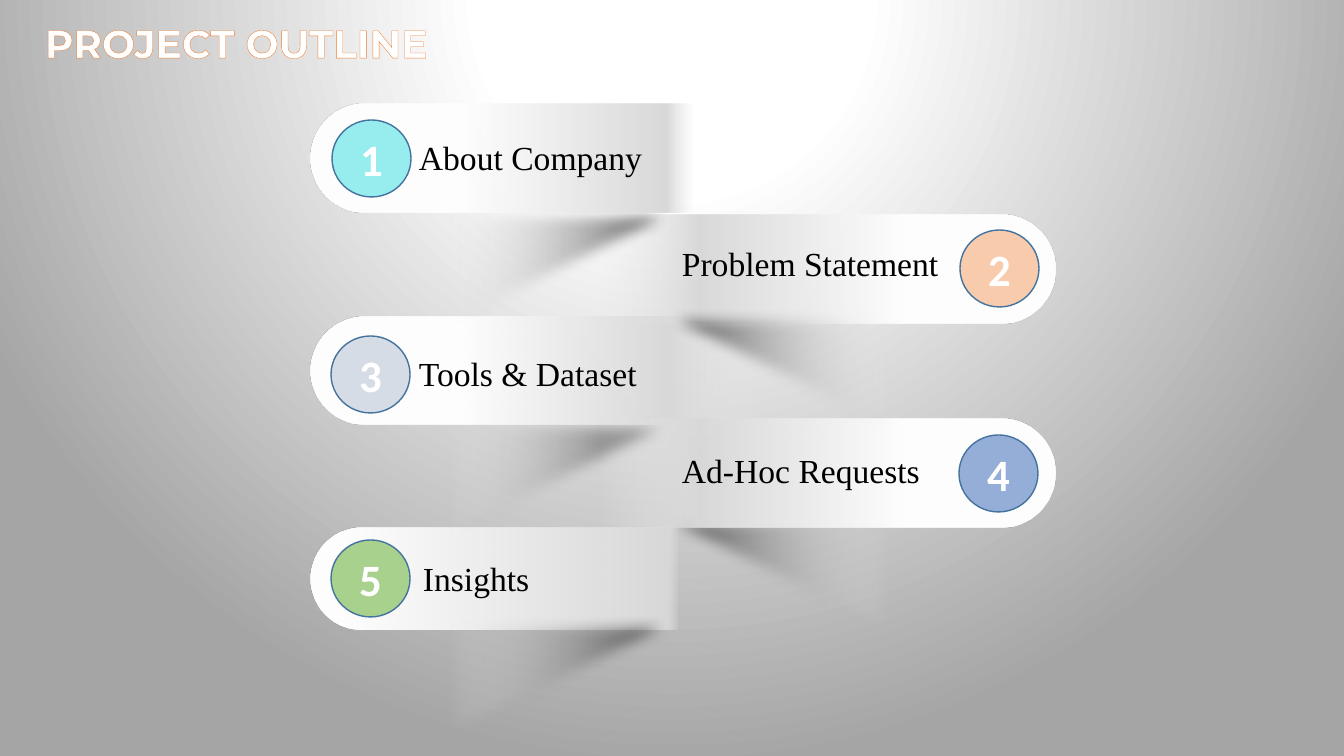
from lxml import etree
from pptx import Presentation
from pptx.dml.color import RGBColor
from pptx.enum.shapes import MSO_SHAPE
from pptx.enum.text import MSO_ANCHOR, MSO_AUTO_SIZE, PP_ALIGN
from pptx.oxml.ns import qn
from pptx.util import Pt

RIBBON, SHADOW, BADGE = MSO_SHAPE.ROUND_2_SAME_RECTANGLE, MSO_SHAPE.RIGHT_TRIANGLE, MSO_SHAPE.OVAL
LEFT, CENTER = PP_ALIGN.LEFT, PP_ALIGN.CENTER
MIDDLE, TOP = MSO_ANCHOR.MIDDLE, MSO_ANCHOR.TOP
FIT, FIXED = MSO_AUTO_SIZE.SHAPE_TO_FIT_TEXT, MSO_AUTO_SIZE.NONE

WHITE = RGBColor(0xFF, 0xFF, 0xFF)
BLACK = RGBColor(0, 0, 0)
GREY = RGBColor(0xA5, 0xA5, 0xA5)
SILVER = RGBColor(0xD9, 0xD9, 0xD9)
MIST = RGBColor(0xE7, 0xE7, 0xE7)
STEEL = RGBColor(0x43, 0x73, 0x9E)
ORANGE = RGBColor(0xED, 0x7D, 0x31)
AQUA = RGBColor(0x97, 0xED, 0xED)
PEACH = RGBColor(0xF8, 0xCB, 0xAD)
PALE = RGBColor(0xD6, 0xDC, 0xE5)
BLUE = RGBColor(0x95, 0xAE, 0xD7)
GREEN = RGBColor(0xA9, 0xD1, 0x8E)

TITLE = "PROJECT OUTLINE"
TOPICS = {
    1: dict(label="About Company", color=AQUA, ribbon=(311, 104, 455, 108), stops=(33, 78, 84),
            shadow_top=205, badge=(332, 120), text=(409, 132, 246)),
    2: dict(label="Problem Statement", color=PEACH, ribbon=(600, 215, 455, 108), stops=(33, 78, 100),
            shadow_top=308, badge=(960, 230), text=(672, 238, 287)),
    3: dict(label="Tools & Dataset", color=PALE, ribbon=(311, 317, 455, 108), stops=(33, 78, 100),
            shadow_top=415, badge=(331, 336), text=(409, 348, 240)),
    4: dict(label="Ad-Hoc Requests", color=BLUE, ribbon=(600, 419, 455, 108), stops=(33, 78, 100),
            shadow_top=511, badge=(959, 435), text=(672, 445, 261)),
    5: dict(label="Insights", color=GREEN, ribbon=(311, 528, 443, 102), stops=(7, 80, 83),
            shadow_top=615, badge=(331, 540), text=(413, 553, 128)),
}
BACK_TO_FRONT = [
    ("ribbon", 5), ("shadow", 3), ("ribbon", 3), ("shadow", 4), ("ribbon", 4),
    ("shadow", 5), ("ribbon", 2), ("shadow", 2), ("shadow", 1), ("ribbon", 1),
]
SHADOW_FADE = [(0, WHITE, 100), (0, WHITE, 0), (95, BLACK, 100)]
BACKDROP = [(0, WHITE, 100), (25, WHITE, 100), (100, GREY, 100)]
SHADOW_X = {"left": 439, "right": 609}
SHADOW_SIZE = (291, 141)
BADGE_SIZE = (79, 77)

SCALE = 914400 / 100.8


def px(*lengths):
    return [round(length * SCALE) for length in lengths]


def fill_gradient(parent, stops, angle=None):
    gradient = etree.Element(qn("a:gradFill"), rotWithShape="1")
    stop_list = etree.SubElement(gradient, qn("a:gsLst"))
    for position, color, opacity in stops:
        stop = etree.SubElement(stop_list, qn("a:gs"), pos=str(position * 1000))
        tint = etree.SubElement(stop, qn("a:srgbClr"), val=str(color))
        if opacity < 100:
            etree.SubElement(tint, qn("a:alpha"), val=str(opacity * 1000))
    if angle is None:
        circle = etree.SubElement(gradient, qn("a:path"), path="circle")
        etree.SubElement(circle, qn("a:fillToRect"), l="50000", t="-80000", r="50000", b="180000")
    else:
        etree.SubElement(gradient, qn("a:lin"), ang=str(angle * 60000), scaled="0")
    solid = parent.find(qn("a:solidFill"))
    parent.replace(solid, gradient)


def add_plain(kind, box, color=WHITE, border=None):
    shape = slide.shapes.add_shape(kind, *px(*box))
    shape.shadow.inherit = False
    shape.fill.solid()
    shape.fill.fore_color.rgb = color
    if border is None:
        shape.line.fill.background()
    else:
        shape.line.color.rgb = border
        shape.line.width = Pt(1)
    return shape


def write(holder, text, size, font, color, bold=False, align=LEFT, anchor=TOP,
          wrap=True, fit=FIT, outline=None):
    frame = holder.text_frame
    frame.word_wrap = wrap
    frame.auto_size = fit
    frame.vertical_anchor = anchor
    paragraph = frame.paragraphs[0]
    paragraph.alignment = align
    run = paragraph.add_run()
    run.text = text
    run.font.size = Pt(size)
    run.font.name = font
    run.font.bold = bold
    run.font.color.rgb = color
    if outline is not None:
        properties = run.font._element
        line = etree.Element(qn("a:ln"), w="6600")
        stroke = etree.SubElement(line, qn("a:solidFill"))
        etree.SubElement(stroke, qn("a:srgbClr"), val=str(outline))
        properties.insert(0, line)


def add_ribbon(topic, side):
    left, top, length, height = topic["ribbon"]
    shift = (length - height) / 2
    ribbon = add_plain(RIBBON, (left + shift, top - shift, height, length))
    ribbon.rotation = 270 if side == "left" else 90
    ribbon.adjustments[0] = 0.5
    ribbon.adjustments[1] = 0
    white_end, silver_end, clear_end = topic["stops"]
    fade = [(white_end, WHITE, 100), (silver_end, SILVER, 100), (clear_end, MIST, 0)]
    fill_gradient(ribbon.element.spPr, fade, 90)


def add_fold_shadow(topic, side):
    fold = add_plain(SHADOW, (SHADOW_X[side], topic["shadow_top"], *SHADOW_SIZE))
    properties = fold.element.spPr
    frame = properties.find(qn("a:xfrm"))
    frame.set("flipV", "1")
    if side == "right":
        frame.set("flipH", "1")
    fill_gradient(properties, SHADOW_FADE, 0)
    effects = properties.find(qn("a:effectLst"))
    etree.SubElement(effects, qn("a:softEdge"), rad="127000")


deck = Presentation()
deck.slide_width, deck.slide_height = px(1344, 756)
slide = deck.slides.add_slide(deck.slide_layouts[6])
slide.background.fill.solid()
slide.background.fill.fore_color.rgb = WHITE
fill_gradient(slide.element.find(".//" + qn("p:bgPr")), BACKDROP)

for part, number in BACK_TO_FRONT:
    side = "left" if number % 2 else "right"
    draw = add_ribbon if part == "ribbon" else add_fold_shadow
    draw(TOPICS[number], side)

for number, topic in TOPICS.items():
    badge = add_plain(BADGE, (*topic["badge"], *BADGE_SIZE), topic["color"], STEEL)
    write(badge, str(number), 32, "Calibri", WHITE, bold=True, align=CENTER, anchor=MIDDLE, fit=FIXED)
    label = slide.shapes.add_textbox(*px(*topic["text"], 50))
    write(label, topic["label"], 24, "Times New Roman", BLACK, wrap=False)

heading = slide.shapes.add_textbox(*px(35, 14, 564, 57))
write(heading, TITLE, 28, "Montserrat", WHITE, bold=True, outline=ORANGE)

deck.save("out.pptx")
